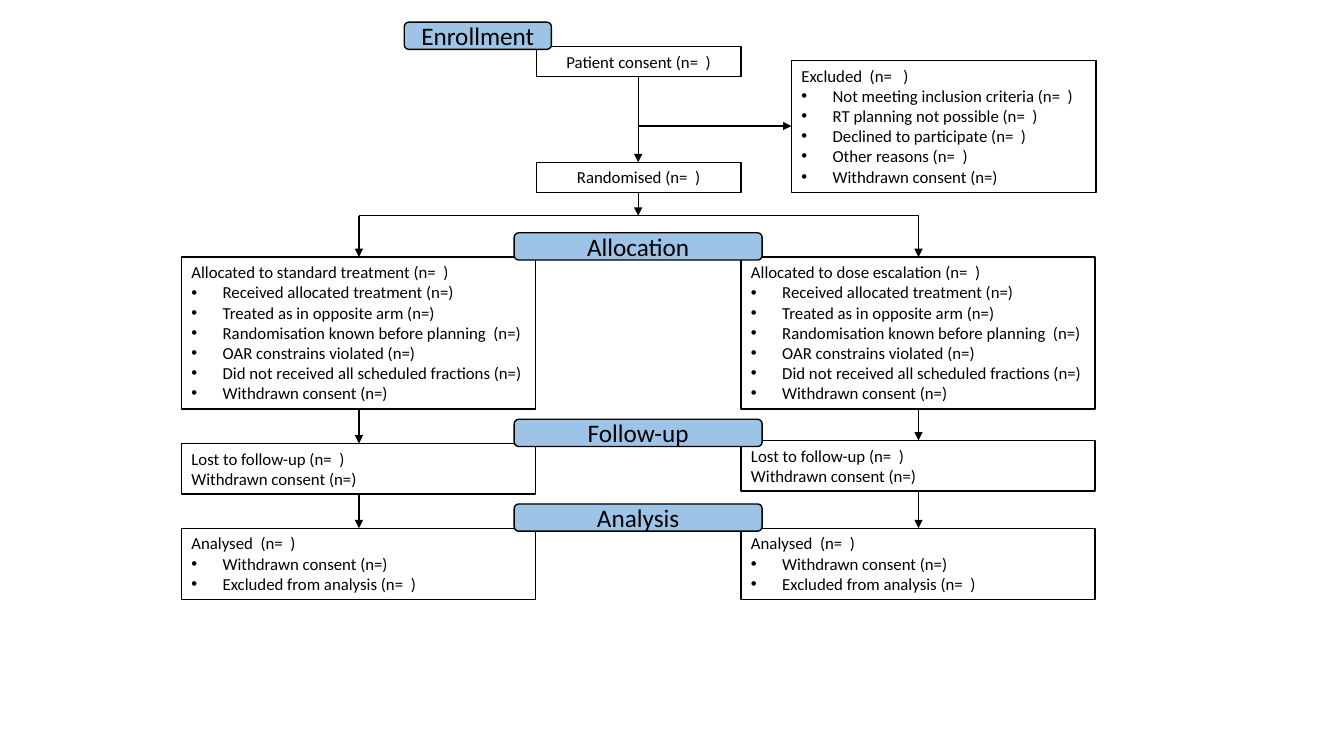
"""Build a trial flow diagram slide with two treatment arms."""
from dataclasses import dataclass

from lxml import etree
from pptx import Presentation
from pptx import util as u
from pptx.dml.color import RGBColor
from pptx.enum import shapes, text
from pptx.oxml.ns import qn

EMU_PER_PX = 9144


@dataclass(frozen=True)
class Theme:
    """Colours, font and type sizes of the diagram."""
    ink: RGBColor = RGBColor(0x00, 0x00, 0x00)
    stage_fill: RGBColor = RGBColor(0x9D, 0xC3, 0xE6)
    font: str = "Calibri"
    body_size: int = 12
    stage_size: int = 18
    line_width: int = 1
    bullet_indent: int = 31


THEME = Theme()

ALLOCATION_ITEMS = [
    "Received allocated treatment (n=)",
    "Treated as in opposite arm (n=)",
    "Randomisation known before planning  (n=)",
    "OAR constrains violated (n=)",
    "Did not received all scheduled fractions (n=)",
    "Withdrawn consent (n=)",
]
EXCLUSION_ITEMS = [
    "Not meeting inclusion criteria (n=  )",
    "RT planning not possible (n=  )",
    "Declined to participate (n=  )",
    "Other reasons (n=  )",
    "Withdrawn consent (n=)",
]
ANALYSIS_ITEMS = ["Withdrawn consent (n=)", "Excluded from analysis (n=  )"]

ARM_WIDTH = 351
ARMS = [
    ("Allocated to standard treatment (n=  )", 180, 440),
    ("Allocated to dose escalation (n=  )", 735, 437),
]
STAGES = [
    ("Enrollment", 401, 22, 146),
    ("Allocation", 510, 231, 246),
    ("Follow-up", 510, 416, 246),
    ("Analysis", 510, 500, 246),
]
CENTRE = 633
BRANCH_TOP = 214
ALLOCATION_TOP, ALLOCATION_HEIGHT = 255, 151
FOLLOW_UP_HEIGHT = 50
ANALYSIS_TOP, ANALYSIS_HEIGHT = 524, 71


def px(length):
    """Turn whole pixels into EMU."""
    return u.Emu(length * EMU_PER_PX)


def add_bullet(paragraph):
    """Give a paragraph a round bullet with a hanging indent."""
    properties = paragraph._p.get_or_add_pPr()
    indent = px(THEME.bullet_indent)
    properties.set("marL", str(indent))
    properties.set("indent", str(-indent))
    etree.SubElement(properties, qn("a:buFont")).set("typeface", "Arial")
    etree.SubElement(properties, qn("a:buChar")).set("char", "•")


def write(paragraph, content, size=THEME.body_size, align=text.PP_ALIGN.LEFT,
          bullet=False):
    """Write one formatted line of text into a paragraph."""
    paragraph.alignment = align
    run = paragraph.add_run()
    run.text = content
    run.font.name = THEME.font
    run.font.size = u.Pt(size)
    run.font.color.rgb = THEME.ink
    if bullet:
        add_bullet(paragraph)


def add_panel(slide, kind, left, top, width, height, fill=None):
    """Add an outlined shape, filled only when a colour is given."""
    shape = slide.shapes.add_shape(kind, px(left), px(top), px(width), px(height))
    shape.shadow.inherit = False
    shape.line.color.rgb = THEME.ink
    shape.line.width = u.Pt(THEME.line_width)
    if fill is None:
        shape.fill.background()
    else:
        shape.fill.solid()
        shape.fill.fore_color.rgb = fill
    return shape


def add_box(slide, left, top, width, height, lines, items=(),
            align=text.PP_ALIGN.LEFT, wrap=True):
    """Add a box with plain lines followed by bulleted items."""
    shape = add_panel(slide, shapes.MSO_SHAPE.RECTANGLE, left, top, width, height)
    frame = shape.text_frame
    frame.word_wrap = wrap
    frame.auto_size = text.MSO_AUTO_SIZE.SHAPE_TO_FIT_TEXT
    frame.vertical_anchor = text.MSO_ANCHOR.TOP
    for index, content in enumerate([*lines, *items]):
        paragraph = frame.add_paragraph() if index else frame.paragraphs[0]
        write(paragraph, content, align=align, bullet=index >= len(lines))


def add_stage(slide, name, left, top, width):
    """Add a rounded label that names a stage of the trial."""
    shape = add_panel(slide, shapes.MSO_SHAPE.ROUNDED_RECTANGLE, left, top,
                      width, 27, fill=THEME.stage_fill)
    frame = shape.text_frame
    frame.word_wrap = True
    frame.vertical_anchor = text.MSO_ANCHOR.MIDDLE
    write(frame.paragraphs[0], name, size=THEME.stage_size,
          align=text.PP_ALIGN.CENTER)


def add_line(slide, start, end, arrow=True):
    """Add a straight line between two points, with an arrowhead by default."""
    connector = slide.shapes.add_connector(
        shapes.MSO_CONNECTOR.STRAIGHT, *map(px, (*start, *end)))
    connector.line.color.rgb = THEME.ink
    connector.line.width = u.Pt(THEME.line_width)
    if arrow:
        outline = connector.line._get_or_add_ln()
        etree.SubElement(outline, qn("a:tailEnd")).set("type", "triangle")
    etree.SubElement(connector._element.spPr, qn("a:effectLst"))


def add_enrollment(slide):
    """Add the consent, randomisation and exclusion boxes."""
    for content, top in [("Patient consent (n=  )", 46), ("Randomised (n=  )", 161)]:
        add_box(slide, 532, top, 203, 30, [content], align=text.PP_ALIGN.CENTER)
    add_box(slide, 785, 60, 302, 131, ["Excluded  (n=   )"], EXCLUSION_ITEMS)


def add_arm(slide, title, left, follow_up_top):
    """Add the three boxes of one treatment arm."""
    add_box(slide, left, ALLOCATION_TOP, ARM_WIDTH, ALLOCATION_HEIGHT,
            [title], ALLOCATION_ITEMS, wrap=False)
    add_box(slide, left, follow_up_top, ARM_WIDTH, FOLLOW_UP_HEIGHT,
            ["Lost to follow-up (n=  )", "Withdrawn consent (n=)"])
    add_box(slide, left, ANALYSIS_TOP, ARM_WIDTH, ANALYSIS_HEIGHT,
            ["Analysed  (n=  )"], ANALYSIS_ITEMS)


def add_flow(slide):
    """Connect the boxes from consent down to analysis."""
    add_line(slide, (CENTRE, 76), (CENTRE, 161))
    add_line(slide, (CENTRE, 125), (785, 125))
    add_line(slide, (CENTRE, 191), (CENTRE, BRANCH_TOP))
    centres = [left + ARM_WIDTH // 2 + 1 for _, left, _ in ARMS]
    add_line(slide, (centres[0], BRANCH_TOP), (centres[1], BRANCH_TOP), arrow=False)
    for centre, (_, _, follow_up_top) in zip(centres, ARMS):
        for start, end in [
            (BRANCH_TOP, ALLOCATION_TOP),
            (ALLOCATION_TOP + ALLOCATION_HEIGHT, follow_up_top),
            (follow_up_top + FOLLOW_UP_HEIGHT, ANALYSIS_TOP),
        ]:
            add_line(slide, (centre, start), (centre, end))


def main():
    """Build the slide and save it."""
    presentation = Presentation()
    presentation.slide_width, presentation.slide_height = px(1333), px(750)
    slide = presentation.slides.add_slide(presentation.slide_layouts[6])
    add_enrollment(slide)
    for arm in ARMS:
        add_arm(slide, *arm)
    for stage in STAGES:
        add_stage(slide, *stage)
    add_flow(slide)
    presentation.save("out.pptx")


if __name__ == "__main__":
    main()
